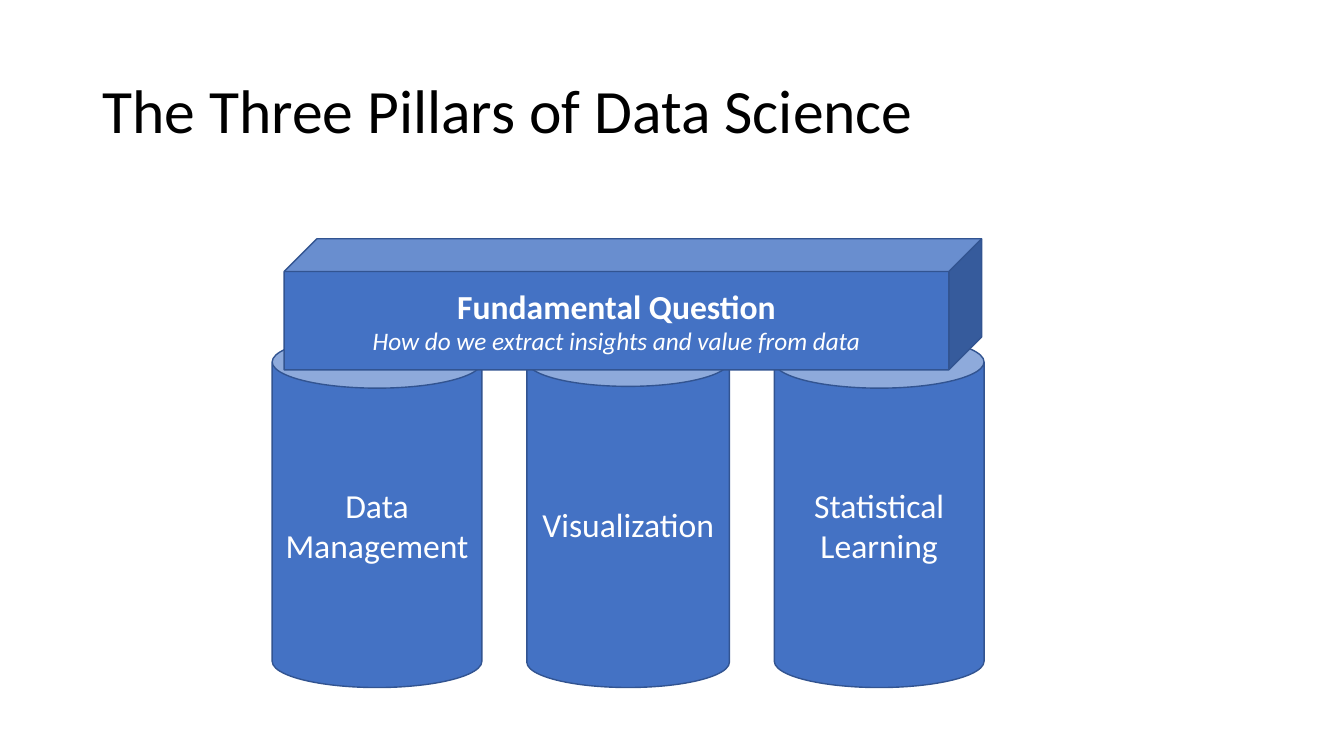
from dataclasses import dataclass

from pptx import Presentation
from pptx.dml.color import RGBColor
from pptx.enum.shapes import MSO_SHAPE as Shape
from pptx.enum.text import MSO_ANCHOR as Anchor, PP_ALIGN as Align
from pptx.util import Pt

TITLE = "The Three Pillars of Data Science"
PILLARS = [("Data Management", 149.8), ("Visualization", 144.7), ("Statistical Learning", 149.8)]
QUESTION = "Fundamental Question"
SUBQUESTION = "How do we extract insights and value from data"

TITLE_BOX = (66, 28.8, 828, 104.4)
BEAM_BOX = (203, 170.6, 498.2, 93.6)
PILLAR_LEFT, PILLAR_TOP, PILLAR_HEIGHT, PILLAR_GAP = 194.4, 239.8, 251.3, 32.1


@dataclass(frozen=True)
class Theme:
    font: str = "Calibri"
    ink: RGBColor = RGBColor(0, 0, 0)
    light: RGBColor = RGBColor(255, 255, 255)
    fill: RGBColor = RGBColor.from_string("4472C4")
    line: RGBColor = RGBColor.from_string("325491")
    title_size: int = 44
    label_size: int = 24
    detail_size: int = 18


THEME = Theme()


def write(shape, lines, color, align):
    """Fill a shape with (text, size, bold, italic) lines, centred vertically."""
    tf = shape.text_frame
    tf.word_wrap = True
    tf.vertical_anchor = Anchor.MIDDLE
    for i, (text, size, bold, italic) in enumerate(lines):
        p = tf.add_paragraph() if i else tf.paragraphs[0]
        p.text = text
        p.alignment = align
        p.font.name = THEME.font
        p.font.size = Pt(size)
        p.font.bold = bold
        p.font.italic = italic
        p.font.color.rgb = color
    return tf


def add_solid(slide, kind, box, lines):
    """Add a blue block with light, centred text."""
    s = slide.shapes.add_shape(kind, *map(Pt, box))
    s.shadow.inherit = False
    s.fill.solid()
    s.fill.fore_color.rgb = THEME.fill
    s.line.color.rgb = THEME.line
    s.line.width = Pt(1)
    write(s, lines, THEME.light, Align.CENTER)


def main():
    prs = Presentation()
    prs.slide_width, prs.slide_height = Pt(960), Pt(540)
    slide = prs.slides.add_slide(prs.slide_layouts[6])

    title = slide.shapes.add_textbox(*map(Pt, TITLE_BOX))
    tf = write(title, [(TITLE, THEME.title_size, False, False)], THEME.ink, Align.LEFT)
    tf.paragraphs[0].line_spacing = 0.9

    left = PILLAR_LEFT
    for label, width in PILLARS:
        add_solid(slide, Shape.CAN, (left, PILLAR_TOP, width, PILLAR_HEIGHT),
                  [(label, THEME.label_size, False, False)])
        left += width + PILLAR_GAP

    add_solid(slide, Shape.CUBE, BEAM_BOX,
              [(QUESTION, THEME.label_size, True, False),
               (SUBQUESTION, THEME.detail_size, False, True)])

    prs.save("out.pptx")


if __name__ == "__main__":
    main()
